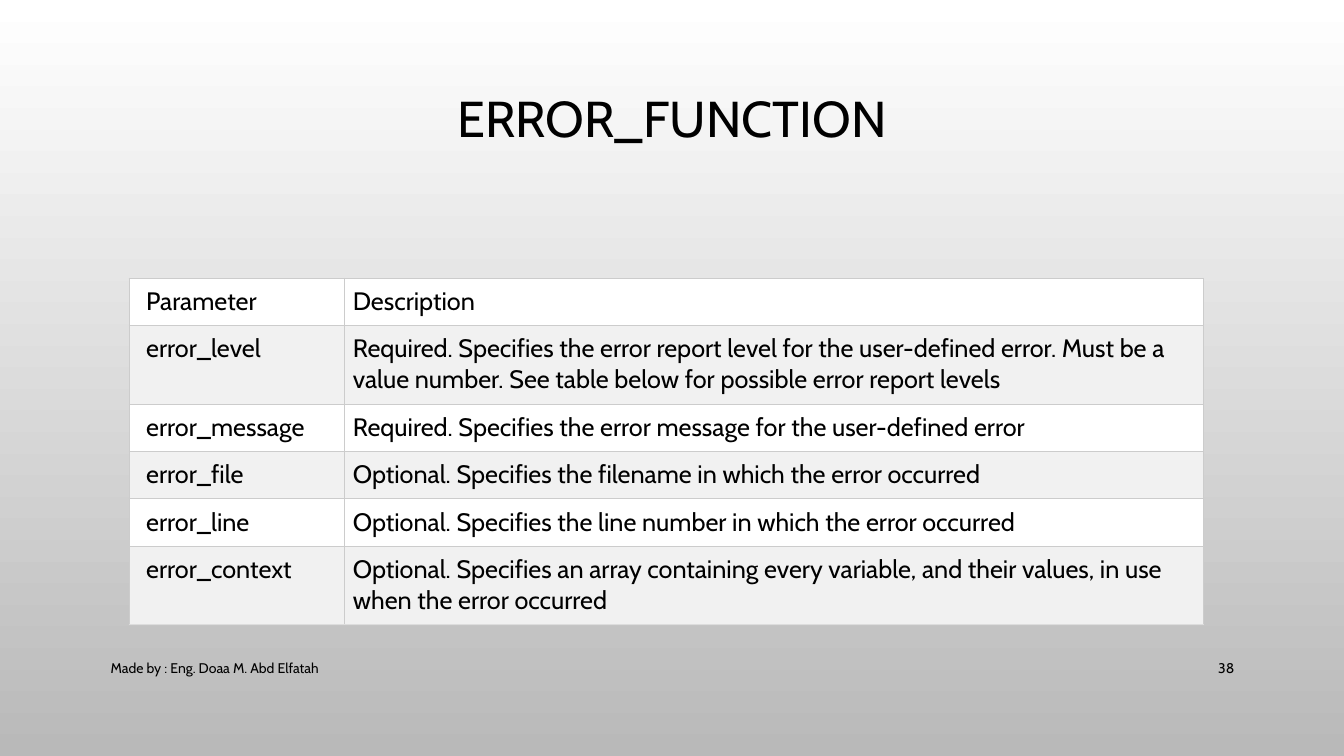
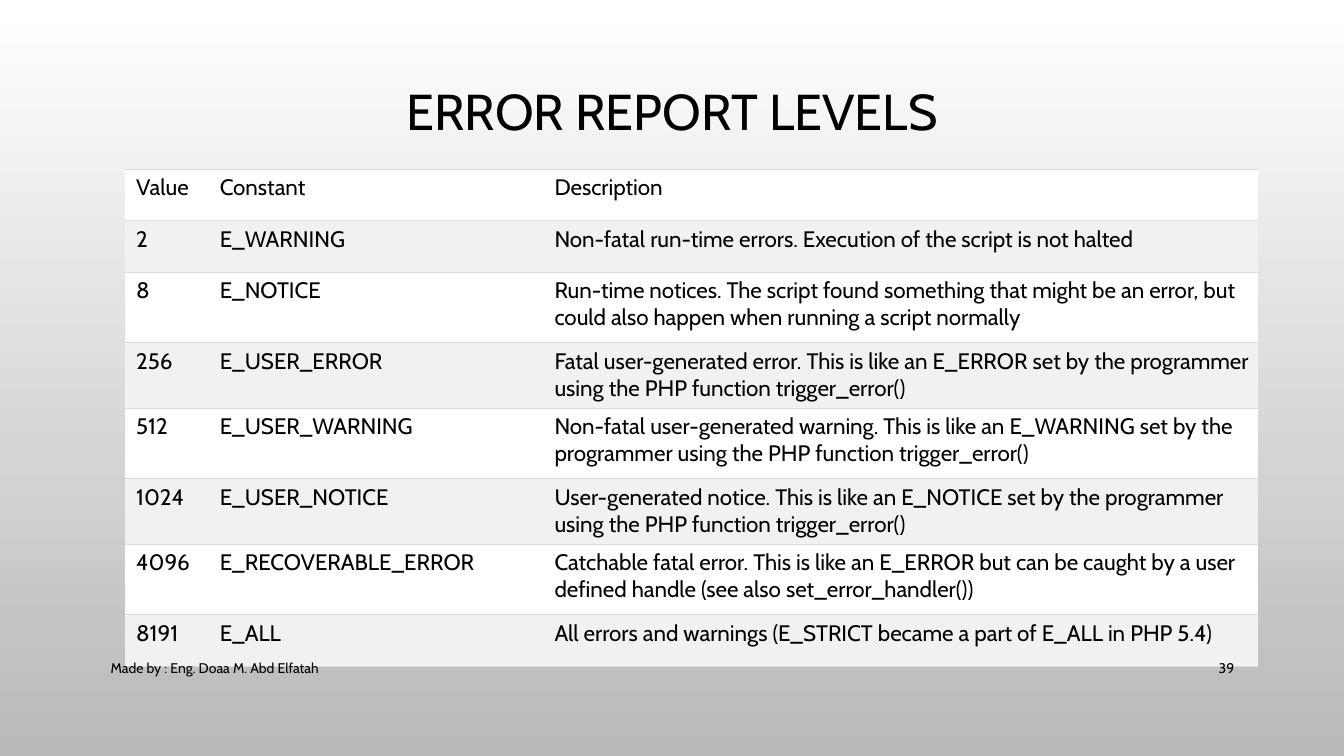
import pptx
import pptx.dml.color
import pptx.enum.text
import pptx.oxml
import pptx.oxml.ns
import pptx.util

PX = 9144
FONT = "Cabin"
INK = "000000"
BANDS = ["FFFFFF", "F1F1F1"]
FADE = ["FFFFFF", "B9B9B9"]
EDGE = "DDDDDD"
GRID = "CCCCCC"
ALIGN = pptx.enum.text.PP_ALIGN
MIDDLE = pptx.enum.text.MSO_ANCHOR.MIDDLE


def color(code):
    return pptx.dml.color.RGBColor.from_string(code)


def write(frame, text, size, align=ALIGN.LEFT):
    frame.text = text
    frame.word_wrap = True
    para = frame.paragraphs[0]
    para.alignment = align
    font = para.runs[0].font
    font.name = FONT
    font.size = pptx.util.Pt(size)
    font.color.rgb = color(INK)


pages = [
    {
        "title": "ERROR_FUNCTION",
        "tall": 105,
        "spot": (128, 276),
        "cols": [214, 852],
        "rows": [47, 78, 47, 47, 47, 78],
        "size": 18,
        "pad": 8,
        "lead": 17,
        "sides": GRID,
        "lines": GRID,
        "cells": [
            ("Parameter", "Description"),
            ("error_level", "Required. Specifies the error report level for the user-defined error. "
             "Must be a value number. See table below for possible error report levels"),
            ("error_message", "Required. Specifies the error message for the user-defined error"),
            ("error_file", "Optional. Specifies the filename in which the error occurred"),
            ("error_line", "Optional. Specifies the line number in which the error occurred"),
            ("error_context", "Optional. Specifies an array containing every variable, "
             "and their values, in use when the error occurred"),
        ],
    },
    {
        "title": "ERROR REPORT LEVELS",
        "tall": 90,
        "spot": (124, 168),
        "cols": [89, 332, 703],
        "rows": [51, 51, 70, 65, 70, 65, 70, 51],
        "size": 16,
        "pad": 5,
        "lead": 11,
        "sides": None,
        "lines": EDGE,
        "cells": [
            ("Value", "Constant", "Description"),
            ("2", "E_WARNING", "Non-fatal run-time errors. Execution of the script is not halted"),
            ("8", "E_NOTICE", "Run-time notices. The script found something that might be an error, "
             "but could also happen when running a script normally"),
            ("256", "E_USER_ERROR", "Fatal user-generated error. This is like an E_ERROR "
             "set by the programmer using the PHP function trigger_error()"),
            ("512", "E_USER_WARNING", "Non-fatal user-generated warning. This is like an E_WARNING "
             "set by the programmer using the PHP function trigger_error()"),
            ("1024", "E_USER_NOTICE", "User-generated notice. This is like an E_NOTICE "
             "set by the programmer using the PHP function trigger_error()"),
            ("4096", "E_RECOVERABLE_ERROR", "Catchable fatal error. This is like an E_ERROR "
             "but can be caught by a user defined handle (see also set_error_handler())"),
            ("8191", "E_ALL", "All errors and warnings (E_STRICT became a part of E_ALL in PHP 5.4)"),
        ],
    },
]

deck = pptx.Presentation()
deck.slide_width = 1333 * PX
deck.slide_height = 750 * PX

back = deck.slide_master.background.fill
back.gradient()
back.gradient_angle = 270
for stop, code in zip(back.gradient_stops, FADE):
    stop.color.rgb = color(code)

for number, page in enumerate(pages, 38):
    slide = deck.slides.add_slide(deck.slide_layouts[5])

    title = slide.shapes.title
    title.left, title.top = 100 * PX, 68 * PX
    title.width, title.height = 1133 * PX, page["tall"] * PX
    write(title.text_frame, page["title"], 36, ALIGN.CENTER)
    title.text_frame.auto_size = pptx.enum.text.MSO_AUTO_SIZE.NONE
    title.text_frame.vertical_anchor = MIDDLE
    title.text_frame.paragraphs[0].line_spacing = 0.9

    cols, rows = page["cols"], page["rows"]
    left, top = page["spot"]
    table = slide.shapes.add_table(
        len(rows), len(cols), left * PX, top * PX, sum(cols) * PX, sum(rows) * PX
    ).table
    table.first_row = table.horz_banding = False
    for col, wide in zip(table.columns, cols):
        col.width = wide * PX
    for row, tall in zip(table.rows, rows):
        row.height = tall * PX

    for r, texts in enumerate(page["cells"]):
        base = EDGE if r == len(rows) - 1 else page["lines"]
        sides = [("L", page["sides"]), ("R", page["sides"]), ("T", page["lines"]), ("B", base)]
        for c, text in enumerate(texts):
            cell = table.cell(r, c)
            write(cell.text_frame, text, page["size"])
            cell.margin_right = cell.margin_top = cell.margin_bottom = page["pad"] * PX
            cell.margin_left = page["pad" if c else "lead"] * PX
            cell.fill.solid()
            cell.fill.fore_color.rgb = color(BANDS[r % 2])
            for at, (side, code) in enumerate(sides):
                paint = f'<a:solidFill><a:srgbClr val="{code}"/></a:solidFill>' if code else "<a:noFill/>"
                line = pptx.oxml.parse_xml(
                    f'<a:ln{side} {pptx.oxml.ns.nsdecls("a")} w="9525">{paint}</a:ln{side}>'
                )
                cell._tc.get_or_add_tcPr().insert(at, line)

    notes = [
        (100, 730, "Made by : Eng. Doaa M. Abd Elfatah", ALIGN.LEFT),
        (1150, 84, str(number), ALIGN.RIGHT),
    ]
    for left, wide, text, align in notes:
        box = slide.shapes.add_textbox(left * PX, 643 * PX, wide * PX, 40 * PX)
        write(box.text_frame, text, 10, align)
        box.text_frame.vertical_anchor = MIDDLE

deck.save("out.pptx")
